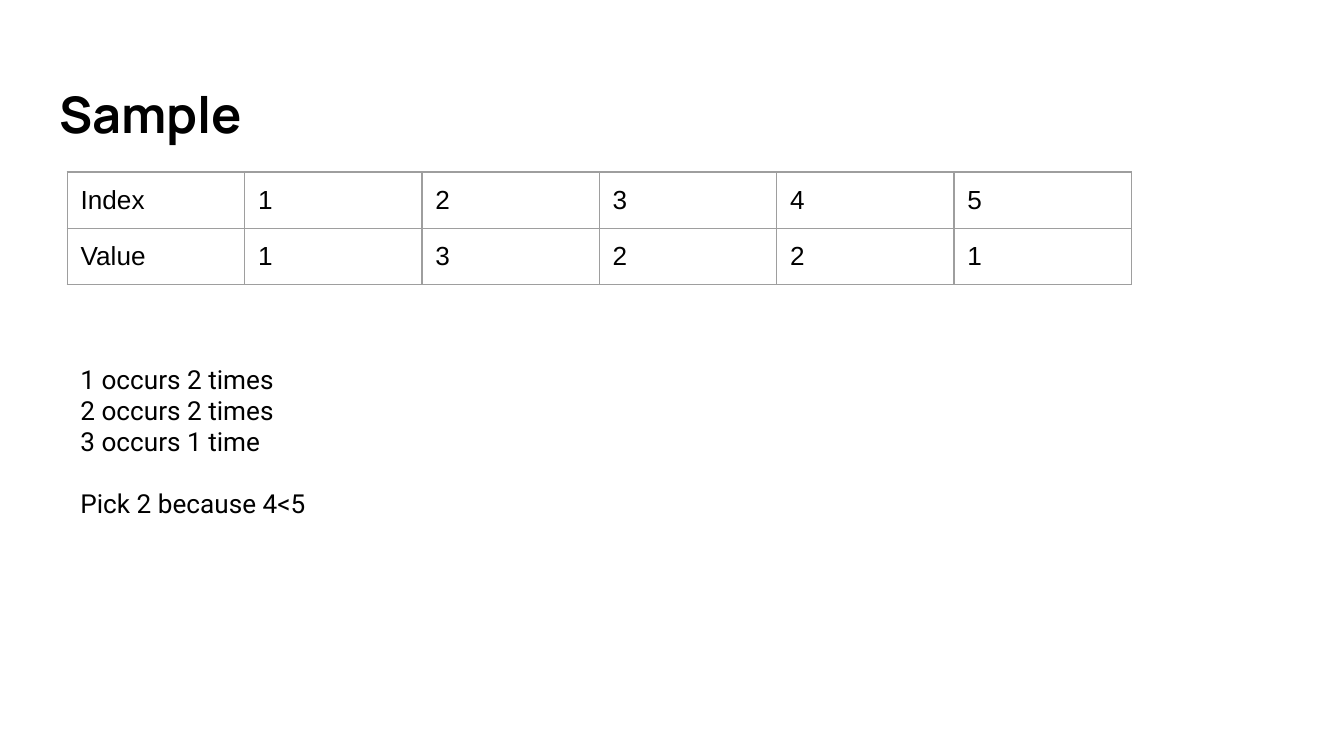
"""Build the Sample slide: an index and value table with its occurrence counts."""
from dataclasses import dataclass

from lxml.etree import SubElement
from pptx import Presentation
from pptx.dml.color import RGBColor
from pptx.enum.text import MSO_ANCHOR, PP_ALIGN
from pptx.oxml.ns import qn
from pptx.util import Inches, Pt

COLORS = {"text": "000000", "border": "9E9E9E", "background": "FFFFFF"}
ROWS = [
    ["Index", "1", "2", "3", "4", "5"],
    ["Value", "1", "3", "2", "2", "1"],
]
SLIDE_WIDTH = Inches(10)
SLIDE_HEIGHT = SLIDE_WIDTH * 9 // 16
COLUMN_WIDTH = Inches(1.32)
ROW_HEIGHT = Inches(0.42)
MARGIN = Inches(0.1)


@dataclass(frozen=True)
class Style:
    font: str
    size: float
    bold: bool = False


@dataclass(frozen=True)
class Line:
    text: str
    space_before: float = 0


TITLE = Style("Manrope", 27, True)
CELL = Style("Arial", 14)
NOTE = Style("Roboto", 14)
COUNTS = [
    Line("1 occurs 2 times"),
    Line("2 occurs 2 times"),
    Line("3 occurs 1 time"),
    Line("Pick 2 because 4<5", 16.4),
]


def add_span(para, text: str, style: Style) -> None:
    """Add one styled run to a paragraph."""
    span = para.add_run()
    span.text = text
    span.font.name = style.font
    span.font.size = Pt(style.size)
    span.font.bold = style.bold
    span.font.color.rgb = RGBColor.from_string(COLORS["text"])


def set_margins(target) -> None:
    """Give a text frame or cell the same margin on every side."""
    for side in ("left", "top", "right", "bottom"):
        setattr(target, f"margin_{side}", MARGIN)


def add_borders(cell) -> None:
    """Draw a thin solid line on each side of a cell."""
    properties = cell._tc.get_or_add_tcPr()
    for side in ("lnL", "lnR", "lnT", "lnB"):
        line = SubElement(properties, qn(f"a:{side}"), w=str(Pt(0.75)))
        fill = SubElement(line, qn("a:solidFill"))
        SubElement(fill, qn("a:srgbClr"), val=COLORS["border"])


def add_title(page, text: str) -> None:
    """Place and fill the title placeholder."""
    box = page.shapes.title
    box.left, box.top = Inches(0.34), Inches(0.49)
    box.width, box.height = Inches(9.32), Inches(0.68)
    frame = box.text_frame
    frame.vertical_anchor = MSO_ANCHOR.BOTTOM
    set_margins(frame)
    para = frame.paragraphs[0]
    para.alignment = PP_ALIGN.LEFT
    add_span(para, text, TITLE)


def add_grid(page, rows: list[list[str]]) -> None:
    """Add the bordered table."""
    count = len(rows[0])
    table = page.shapes.add_table(
        len(rows), count, Inches(0.5), Inches(1.28),
        COLUMN_WIDTH * count, ROW_HEIGHT * len(rows),
    ).table
    table.first_row = table.horz_banding = False
    for column in table.columns:
        column.width = COLUMN_WIDTH
    for row, values in zip(table.rows, rows):
        row.height = ROW_HEIGHT
        for cell, value in zip(row.cells, values):
            set_margins(cell)
            add_borders(cell)
            cell.fill.background()
            add_span(cell.text_frame.paragraphs[0], value, CELL)


def add_counts(page, lines: list[Line]) -> None:
    """Add the text below the table, one paragraph a line."""
    box = page.shapes.add_textbox(
        Inches(0.5), Inches(2.6), Inches(4.33), Inches(1.38))
    frame = box.text_frame
    frame.word_wrap = True
    set_margins(frame)
    for number, line in enumerate(lines):
        para = frame.add_paragraph() if number else frame.paragraphs[0]
        para.space_before = Pt(line.space_before)
        add_span(para, line.text, NOTE)


def main() -> None:
    """Build and save the deck."""
    deck = Presentation()
    deck.slide_width, deck.slide_height = SLIDE_WIDTH, SLIDE_HEIGHT
    page = deck.slides.add_slide(deck.slide_layouts.get_by_name("Title Only"))
    fill = page.background.fill
    fill.solid()
    fill.fore_color.rgb = RGBColor.from_string(COLORS["background"])
    add_title(page, "Sample")
    add_grid(page, ROWS)
    add_counts(page, COUNTS)
    deck.save("out.pptx")


if __name__ == "__main__":
    main()
